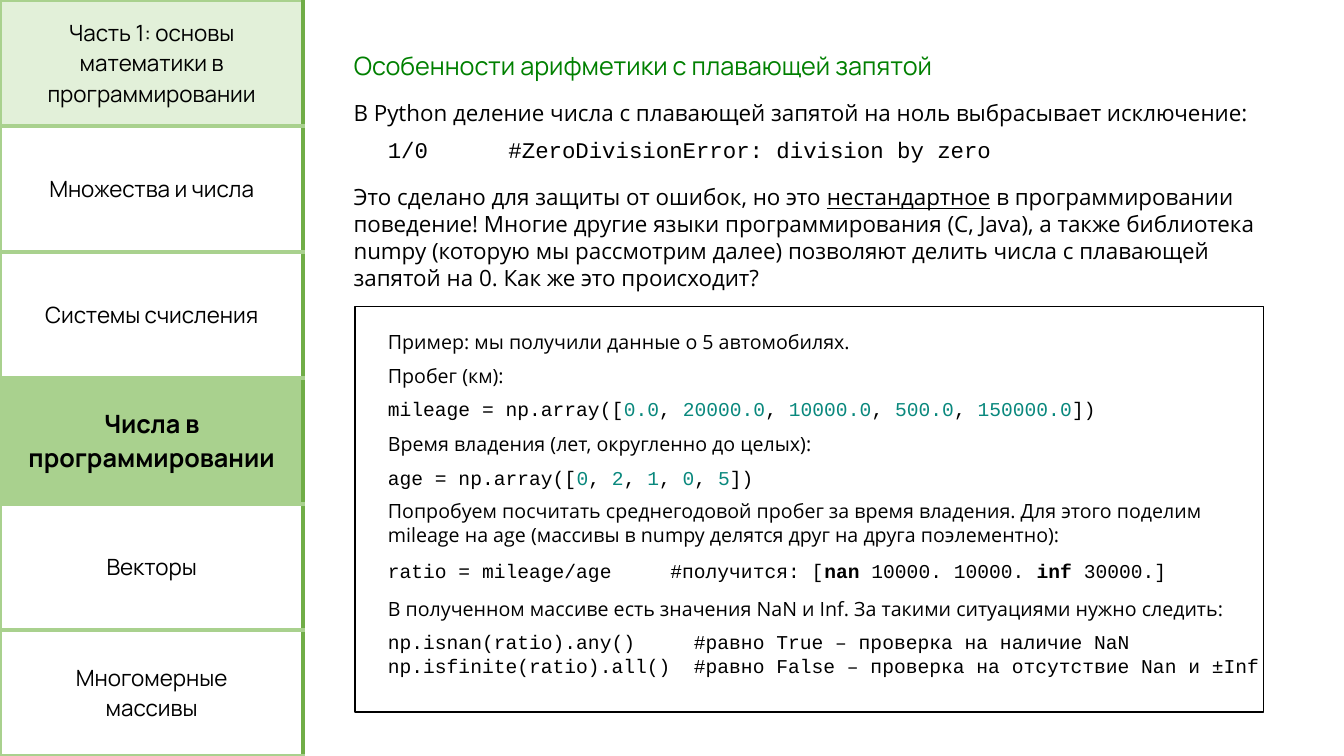
from typing import NamedTuple

from pptx import Presentation
from pptx.dml.color import RGBColor
from pptx.enum import shapes, text
from pptx.oxml import parse_xml
from pptx.oxml.ns import nsdecls
from pptx.util import Pt

BLACK = RGBColor(0x00, 0x00, 0x00)
WHITE = RGBColor(0xFF, 0xFF, 0xFF)
GREEN = RGBColor(0x00, 0x80, 0x00)
TEAL = RGBColor(0x09, 0x88, 0x7D)
PALE = RGBColor(0xE2, 0xF0, 0xD9)
LIGHT = RGBColor(0xA9, 0xD1, 0x8E)
DARK = RGBColor(0x70, 0xAD, 0x47)

HEAD, BODY, CODE = "Manrope", "Open Sans", "Courier New"
WIDE, HIGH = 960, 540
LEFT, INNER = 245.5, 270


class Topic(NamedTuple):
    label: str
    fill: RGBColor = WHITE
    size: int = 16
    bold: bool = False


class Block(NamedTuple):
    """Text whose marked pieces stand between bars."""
    left: float
    top: float
    words: str
    size: int = 14
    face: str = BODY
    color: RGBColor = BLACK  # colour of marked pieces
    bold: bool = False
    under: bool = False


TOPICS = [
    Topic("Часть 1: основы математики в программировании", PALE),
    Topic("Множества и числа"),
    Topic("Системы счисления"),
    Topic("Числа в программировании", LIGHT, 18, True),
    Topic("Векторы"),
    Topic("Многомерные\nмассивы"),
]

BLOCKS = [
    Block(LEFT, 67, "В Python деление числа с плавающей запятой на ноль "
          "выбрасывает исключение:", 16),
    Block(INNER, 93.6, "1/0      #ZeroDivisionError: division by zero", 16, CODE),
    Block(LEFT, 127.4,
          "Это сделано для защиты от ошибок, но это |нестандартное| в программировании\n"
          "поведение! Многие другие языки программирования (C, Java), а также библиотека\n"
          "numpy (которую мы рассмотрим далее) позволяют делить числа с плавающей\n"
          "запятой на 0. Как же это происходит?", 16, under=True),
    Block(INNER, 231.8, "Пример: мы получили данные о 5 автомобилях."),
    Block(INNER, 256.3, "Пробег (км):"),
    Block(INNER, 280.1, "mileage = np.array([|0.0|, |20000.0|, |10000.0|, |500.0|, "
          "|150000.0|])", face=CODE, color=TEAL),
    Block(INNER, 304.6, "Время владения (лет, округленно до целых):"),
    Block(INNER, 329, "age = np.array([|0|, |2|, |1|, |0|, |5|])", face=CODE, color=TEAL),
    Block(INNER, 352.8,
          "Попробуем посчитать среднегодовой пробег за время владения. Для этого поделим\n"
          "mileage на age (массивы в numpy делятся друг на друга поэлементно):"),
    Block(INNER, 396, "ratio = mileage/age     #получится: [|nan| 10000. 10000. "
          "|inf| 30000.]", face=CODE, bold=True),
    Block(INNER, 422.6, "В полученном массиве есть значения NaN и Inf. "
          "За такими ситуациями нужно следить:"),
    Block(INNER, 446.4,
          "np.isnan(ratio).any()     #равно True – проверка на наличие NaN\n"
          "np.isfinite(ratio).all()  #равно False – проверка на отсутствие Nan и ±Inf",
          face=CODE),
]


def style(font, face: str, size: float, color: RGBColor, bold: bool = False) -> None:
    font.name, font.size, font.bold = face, Pt(size), bold
    font.color.rgb = color


def edge(cell, side: str, color: RGBColor) -> None:
    cell._tc.get_or_add_tcPr().append(parse_xml(
        f'<a:ln{side} {nsdecls("a")} w="{Pt(3)}"><a:solidFill>'
        f'<a:srgbClr val="{color}"/></a:solidFill></a:ln{side}>'))


def draw_menu(slide, topics: list[Topic]) -> None:
    frame = slide.shapes.add_table(len(topics), 1, Pt(0), Pt(0), Pt(216.7), Pt(HIGH))
    table = frame.table
    table.first_row = table.horz_banding = False
    for row, topic in zip(table.rows, topics):
        row.height = Pt(HIGH / len(topics))
        cell = row.cells[0]
        for side in "LRTB":
            edge(cell, side, DARK if side == "R" else LIGHT)
        cell.fill.solid()
        cell.fill.fore_color.rgb = topic.fill
        cell.vertical_anchor = text.MSO_ANCHOR.MIDDLE
        cell.text_frame.text = topic.label
        for para in cell.text_frame.paragraphs:
            para.alignment = text.PP_ALIGN.CENTER
            for run in para.runs:
                style(run.font, HEAD, topic.size, BLACK, topic.bold)


def draw_title(slide, words: str) -> None:
    title = slide.shapes.title
    title.left, title.top, title.width, title.height = Pt(LEFT), Pt(32.4), Pt(442), Pt(29)
    frame = title.text_frame
    frame.text = words
    frame.word_wrap = False
    frame.auto_size = text.MSO_AUTO_SIZE.NONE
    frame.vertical_anchor = text.MSO_ANCHOR.TOP
    para = frame.paragraphs[0]
    para.alignment = text.PP_ALIGN.LEFT
    style(para.runs[0].font, HEAD, 18, GREEN)


def draw_frame(slide) -> None:
    box = slide.shapes.add_shape(shapes.MSO_SHAPE.RECTANGLE,
                                 Pt(253.5), Pt(219), Pt(649), Pt(289.5))
    box.shadow.inherit = False
    box.fill.background()
    box.line.color.rgb = BLACK
    box.line.width = Pt(1)


def draw_block(slide, block: Block) -> None:
    lines = block.words.split("\n")
    high = len(lines) * block.size * 1.2 + 7.2
    box = slide.shapes.add_textbox(Pt(block.left), Pt(block.top),
                                   Pt(WIDE - block.left), Pt(high))
    frame = box.text_frame
    frame.word_wrap = True
    for i, line in enumerate(lines):
        para = frame.add_paragraph() if i else frame.paragraphs[0]
        for j, piece in enumerate(line.split("|")):
            run = para.add_run()
            run.text = piece
            mark = j % 2 == 1
            style(run.font, block.face, block.size,
                  block.color if mark else BLACK, mark and block.bold)
            run.font.underline = mark and block.under


def main() -> None:
    deck = Presentation()
    deck.slide_width, deck.slide_height = Pt(WIDE), Pt(HIGH)
    slide = deck.slides.add_slide(deck.slide_layouts.get_by_name("Title Only"))
    # Side menu and heading
    draw_menu(slide, TOPICS)
    draw_title(slide, "Особенности арифметики с плавающей запятой")
    # Example frame and text
    draw_frame(slide)
    for block in BLOCKS:
        draw_block(slide, block)
    deck.save("out.pptx")


if __name__ == "__main__":
    main()
